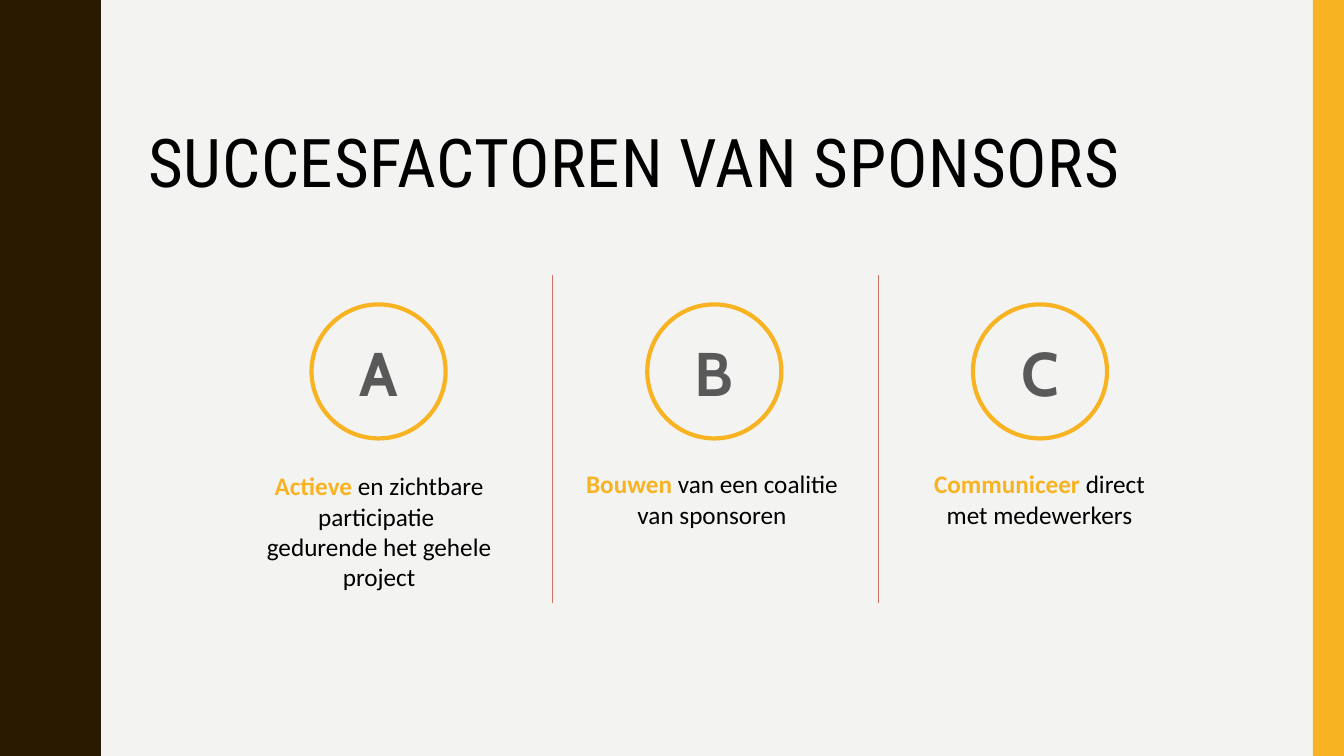
import pptx
import pptx.util
import pptx.dml.color
import pptx.enum.shapes
import pptx.enum.text
from dataclasses import dataclass
from lxml import etree

Inches = pptx.util.Inches
Pt = pptx.util.Pt
Align = pptx.enum.text.PP_ALIGN
Anchor = pptx.enum.text.MSO_ANCHOR
Shape = pptx.enum.shapes.MSO_SHAPE


@dataclass(frozen=True)
class Theme:
    back: str = "F3F3F2"
    dark: str = "2A1A00"
    gold: str = "F8B323"
    rose: str = "D36F68"
    gray: str = "595959"
    ink: str = "000000"
    head: str = "Roboto Condensed"
    body: str = "Calibri"
    mark: str = "Cabin"
    head_size: int = 48
    body_size: int = 18
    mark_size: int = 44


def rgb(code):
    return pptx.dml.color.RGBColor.from_string(code)


class Deck:
    def __init__(self, theme):
        self.theme = theme
        self.prs = pptx.Presentation()
        self.prs.slide_width = Inches(13.33)
        self.prs.slide_height = Inches(7.5)
        self.slide = self.prs.slides.add_slide(self.prs.slide_layouts[5])
        self.shapes = self.slide.shapes
        fill = self.slide.background.fill
        fill.solid()
        fill.fore_color.rgb = rgb(theme.back)

    def style(self, run, face, size, color, bold=False):
        font = run.font
        font.name, font.size, font.bold = face, Pt(size), bold
        font.color.rgb = rgb(color)

    def paint(self, shape, color):
        shape.shadow.inherit = False
        shape.fill.solid()
        shape.fill.fore_color.rgb = rgb(color)
        shape.line.fill.background()

    def wave(self, half, count):
        # Mirror the half wave, then repeat it down the slide
        span = half[-1][1]
        full = half + [(x, 2 * span - y) for x, y in half[-2::-1]]
        edge = [(x, y + 2 * span * i) for i in range(count) for x, y in full]
        form = self.shapes.build_freeform(0, 0, scale=Inches(1))
        form.add_line_segments(edge + [(0, 7.5)], close=True)
        self.paint(form.convert_to_shape(), self.theme.dark)

    def band(self, left, top, width, height):
        box = map(Inches, (left, top, width, height))
        self.paint(self.shapes.add_shape(Shape.RECTANGLE, *box), self.theme.gold)

    def title(self, text, left, top, width, height):
        box = self.shapes.title
        box.left, box.top = Inches(left), Inches(top)
        box.width, box.height = Inches(width), Inches(height)
        frame = box.text_frame
        frame.text = text
        frame.word_wrap = True
        frame.auto_size = pptx.enum.text.MSO_AUTO_SIZE.NONE
        frame.vertical_anchor = Anchor.BOTTOM
        par = frame.paragraphs[0]
        par.alignment, par.line_spacing = Align.LEFT, 0.9
        run = par.runs[0]
        self.style(run, self.theme.head, self.theme.head_size, self.theme.ink)
        run.font._element.set("spc", "60")

    def rule(self, x, top, end):
        line = self.shapes.add_connector(
            pptx.enum.shapes.MSO_CONNECTOR.STRAIGHT,
            Inches(x), Inches(end), Inches(x), Inches(top))
        line.line.color.rgb = rgb(self.theme.rose)
        line.line.width = Pt(0.5)
        etree.SubElement(line._element.spPr, pptx.oxml.ns.qn("a:effectLst"))

    def badge(self, letter, left, top, size):
        ring = self.shapes.add_shape(
            Shape.OVAL, Inches(left), Inches(top), Inches(size), Inches(size))
        ring.shadow.inherit = False
        ring.fill.background()
        ring.line.color.rgb = rgb(self.theme.gold)
        ring.line.width = Pt(3)
        frame = ring.text_frame
        frame.text = letter
        frame.vertical_anchor = Anchor.MIDDLE
        par = frame.paragraphs[0]
        par.alignment = Align.CENTER
        self.style(par.runs[0], self.theme.mark, self.theme.mark_size,
                   self.theme.gray, True)

    def label(self, lines, left, top, wrap):
        # Each line is a list of (text, accented) runs
        box = self.shapes.add_textbox(
            Inches(left), Inches(top), Inches(3.04), Inches(0.5))
        frame = box.text_frame
        frame.word_wrap = wrap
        for i, parts in enumerate(lines):
            par = frame.add_paragraph() if i else frame.paragraphs[0]
            par.alignment = Align.CENTER
            for text, accent in parts:
                run = par.add_run()
                run.text = text
                color = self.theme.gold if accent else self.theme.ink
                self.style(run, self.theme.body, self.theme.body_size, color, accent)


def main():
    deck = Deck(Theme())

    # Side decoration
    half = [(0.78, 0), (0.78, 0.07), (0.79, 0.14), (0.8, 0.2), (0.81, 0.25),
            (0.83, 0.29), (0.85, 0.33), (0.87, 0.38), (0.89, 0.42),
            (0.91, 0.46), (0.93, 0.5), (0.95, 0.55), (0.96, 0.61),
            (0.97, 0.68), (0.97, 0.75)]
    deck.wave(half, 5)
    deck.band(13.02, 0, 0.31, 7.5)

    # Title
    deck.title("SUCCESFACTOREN VAN SPONSORS", 1.37, 0.42, 11.13, 1.63)

    # Column dividers
    for x in (5.48, 8.71):
        deck.rule(x, 2.73, 5.98)

    # Factors: letter, ring left, label left, label top, wrap, lead, rest, second line
    factors = [
        ("A", 3.09, 2.24, 4.62, False, "Actieve",
         " en zichtbare participatie ", "gedurende het gehele project"),
        ("B", 6.42, 5.57, 4.6, False, "Bouwen ",
         "van een coalitie ", "van sponsoren "),
        ("C", 9.65, 8.79, 4.6, True, "Communiceer ",
         "direct", "met medewerkers"),
    ]
    for letter, ring, left, top, wrap, lead, rest, second in factors:
        deck.label([[(lead, True), (rest, False)], [(second, False)]],
                   left, top, wrap)
        deck.badge(letter, ring, 3.02, 1.33)

    deck.prs.save("out.pptx")


if __name__ == "__main__":
    main()
